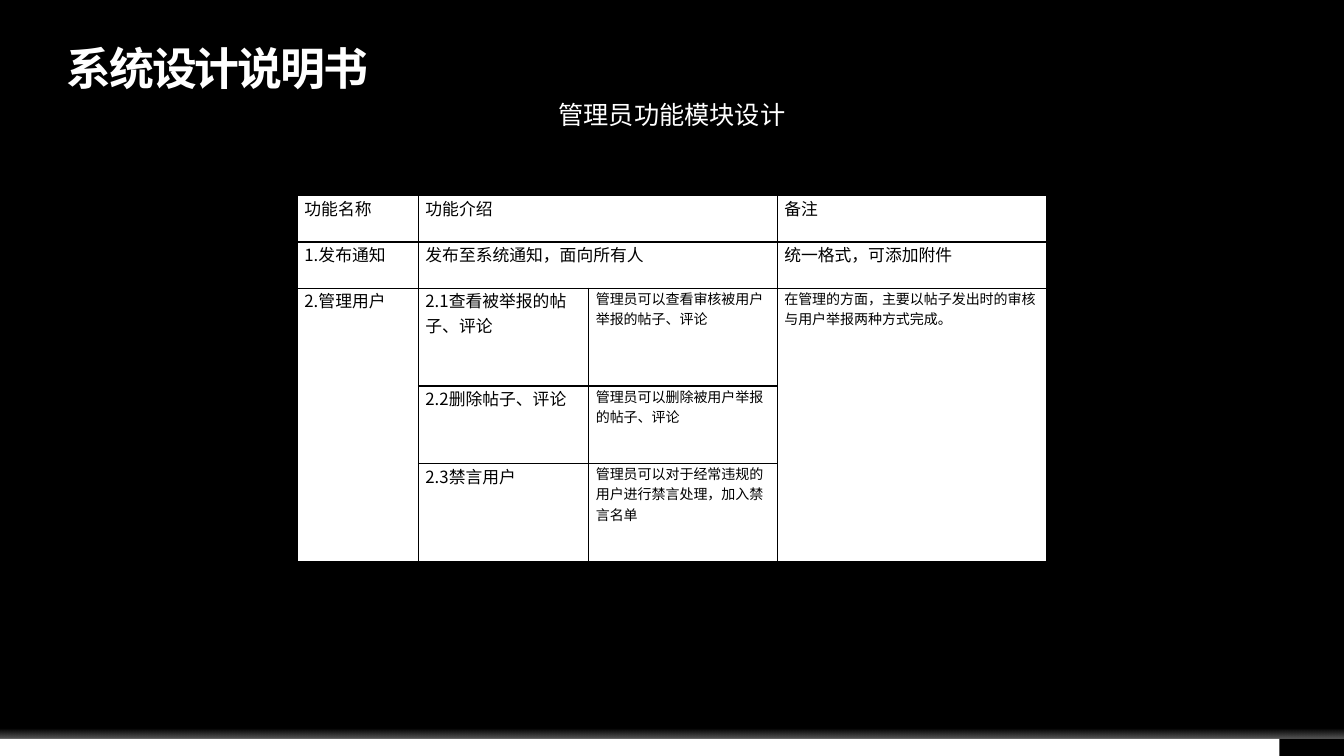
from lxml import etree
from pptx import Presentation
from pptx import util as u
from pptx.dml.color import RGBColor
from pptx.enum import shapes, text
from pptx.oxml.ns import qn

PX = 9144  # 100 px to the inch
CJK = "Noto Sans CJK SC"
BLACK, WHITE = "000000", "FFFFFF"


def rgb(value):
    return RGBColor.from_string(value)


def write(tf, words, size, color, font=CJK):
    """Fill the first paragraph, set its Latin and East Asian fonts, and return it."""
    tf.word_wrap = True
    p = tf.paragraphs[0]
    r = p.add_run()
    r.text = words
    r.font.size = u.Pt(size)
    r.font.name = font
    r.font.color.rgb = rgb(color)
    etree.SubElement(r.font._element, qn("a:ea"), typeface=CJK)
    return p


prs = Presentation()
prs.slide_width, prs.slide_height = 1333 * PX, 750 * PX
s = prs.slides.add_slide(prs.slide_layouts[6])
s.background.fill.solid()
s.background.fill.fore_color.rgb = rgb(BLACK)

# Footer bar and the glow above it
bar = s.shapes.add_shape(shapes.MSO_SHAPE.RECTANGLE, 0, 733 * PX, 1269 * PX, 17 * PX)
glow = s.shapes.add_shape(shapes.MSO_SHAPE.RECTANGLE, 0, 716 * PX, 1333 * PX, 17 * PX)
for sp in (bar, glow):
    sp.shadow.inherit = False
    sp.line.fill.background()
bar.fill.solid()
bar.fill.fore_color.rgb = rgb(WHITE)
glow.fill.gradient()
glow.fill.gradient_angle = 270
for stop, (position, alpha) in zip(glow.fill.gradient_stops, [(0.4, 0), (1, 35)]):
    stop.position = position
    stop.color.rgb = rgb(WHITE)
    color = stop._gs.find(qn("a:srgbClr"))
    etree.SubElement(color, qn("a:alpha"), val=str(alpha * 1000))

# Title
title = s.shapes.add_textbox(66 * PX, 47 * PX, 1091 * PX, 47 * PX)
tf = title.text_frame
tf.margin_left = tf.margin_top = tf.margin_right = tf.margin_bottom = 0
tf.vertical_anchor = text.MSO_ANCHOR.MIDDLE
p = write(tf, "系统设计说明书", 32, WHITE)
p.line_spacing = 0.9
p.runs[0].font.bold = True
p.runs[0].font._element.set("spc", "-150")

# Function table
columns = [120, 169, 187, 267]
rows = [46, 46, 97, 77, 97]
cells = [
    ["功能名称", "功能介绍", "", "备注"],
    ["1.发布通知", "发布至系统通知，面向所有人", "", "统一格式，可添加附件"],
    ["2.管理用户", "2.1查看被举报的帖子、评论", "管理员可以查看审核被用户举报的帖子、评论",
     "在管理的方面，主要以帖子发出时的审核与用户举报两种方式完成。"],
    ["", "2.2删除帖子、评论", "管理员可以删除被用户举报的帖子、评论", ""],
    ["", "2.3禁言用户", "管理员可以对于经常违规的用户进行禁言处理，加入禁言名单", ""],
]
frame = s.shapes.add_table(len(rows), len(columns), 295 * PX, 194 * PX,
                           sum(columns) * PX, sum(rows) * PX)
table = frame.table
table.first_row = table.horz_banding = False
for column, width in zip(table.columns, columns):
    column.width = width * PX
for row, height in zip(table.rows, rows):
    row.height = height * PX

for i, row in enumerate(cells):
    for j, words in enumerate(row):
        cell = table.cell(i, j)
        cell.margin_left = cell.margin_right = 7 * PX
        cell.margin_top = cell.margin_bottom = 0
        tcPr = cell._tc.get_or_add_tcPr()
        for side in ("lnL", "lnR", "lnT", "lnB"):
            ln = etree.SubElement(tcPr, qn(f"a:{side}"), w=str(u.Pt(1)))
            fill = etree.SubElement(ln, qn("a:solidFill"))
            etree.SubElement(fill, qn("a:srgbClr"), val=BLACK)
        cell.fill.solid()
        cell.fill.fore_color.rgb = rgb(WHITE)
        if words:
            write(cell.text_frame, words, 10 if i >= 2 and j >= 2 else 12, BLACK)

for first, last in [((0, 1), (0, 2)), ((1, 1), (1, 2)), ((2, 0), (4, 0)), ((2, 3), (4, 3))]:
    table.cell(*first).merge(table.cell(*last))

# Subtitle
subtitle = s.shapes.add_textbox(516 * PX, 94 * PX, 301 * PX, 40 * PX)
p = write(subtitle.text_frame, "管理员功能模块设计", 18, WHITE, "Calibri")
p.alignment = text.PP_ALIGN.CENTER
subtitle.text_frame.auto_size = text.MSO_AUTO_SIZE.SHAPE_TO_FIT_TEXT

prs.save("out.pptx")
